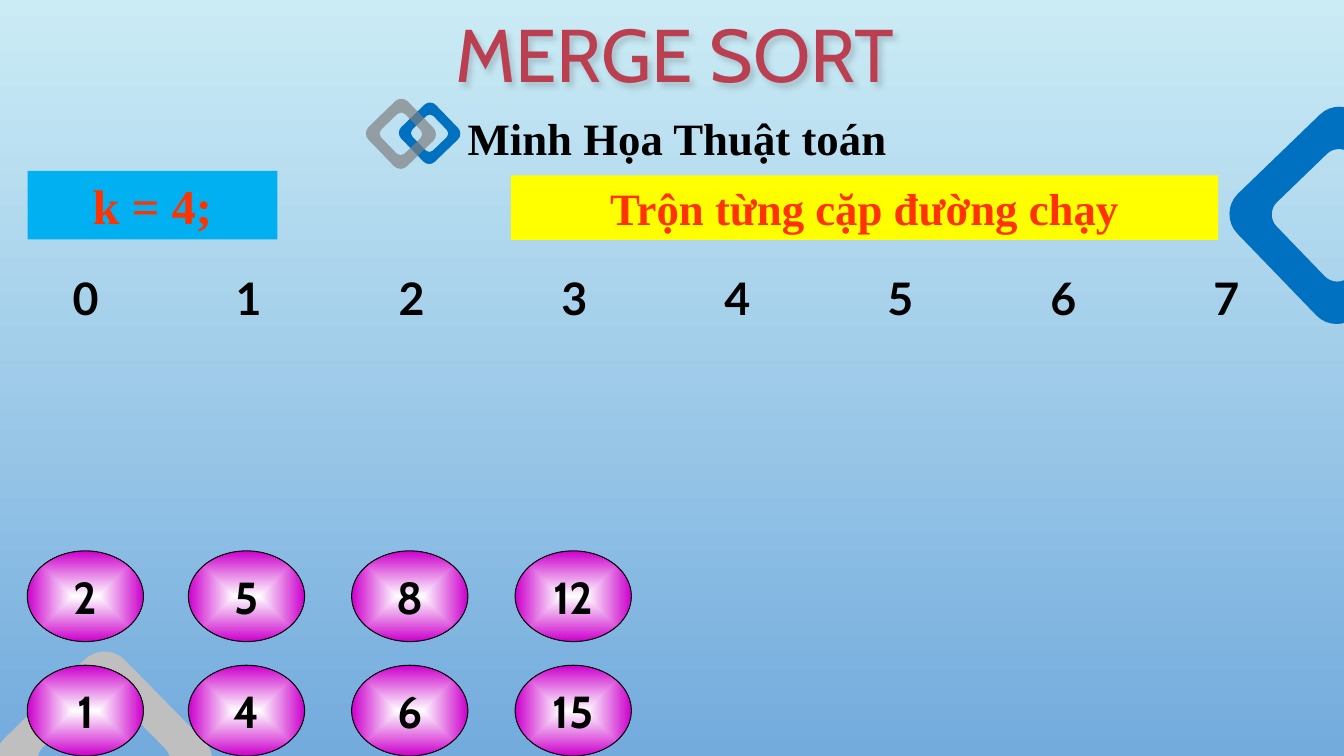
import lxml.etree
import pptx
import pptx.util
import pptx.dml.color
import pptx.enum.shapes
import pptx.enum.text
import pptx.oxml
import pptx.oxml.ns

Pt = pptx.util.Pt
qn = pptx.oxml.ns.qn
SHAPES = pptx.enum.shapes.MSO_SHAPE
COLORS = {name: pptx.dml.color.RGBColor.from_string(value) for name, value in {
    "sky": "CBECF5", "horizon": "73ABDD", "silver": "BFBFBF", "blue": "0070C0",
    "gray": "808080", "black": "000000", "white": "FFFFFF", "magenta": "CC00CC",
    "cyan": "00B0F0", "yellow": "FFFF00", "red": "FF3300", "rose": "BA3F51",
}.items()}
DRAWING = pptx.oxml.ns.nsdecls("a")


def write(shape, text, font, size, color, bold=True, align="CENTER"):
    frame = shape.text_frame
    frame.text = text
    frame.vertical_anchor = pptx.enum.text.MSO_ANCHOR.MIDDLE
    para = frame.paragraphs[0]
    para.alignment = pptx.enum.text.PP_ALIGN[align]
    span = para.runs[0]
    span.font.name = font
    span.font.size = Pt(size)
    span.font.bold = bold
    span.font.color.rgb = COLORS[color]
    return frame


def rounded_square(center_x, center_y, half_side):
    straight = half_side * 0.67
    handle = half_side * 0.85
    points = []
    for cosine, sine in ((1, 0), (0, 1), (-1, 0), (0, -1)):
        for along, across in ((half_side, straight), (half_side, handle),
                              (handle, half_side), (straight, half_side)):
            points.append((Pt(center_x + along * cosine - across * sine),
                           Pt(center_y + along * sine + across * cosine)))
    return points


deck = pptx.Presentation()
deck.slide_width, deck.slide_height = Pt(960), Pt(540)
page = deck.slides.add_slide(deck.slide_layouts[5])
backdrop = page.background.fill
backdrop.gradient()
backdrop.gradient_angle = 270
for stop, color in zip(backdrop.gradient_stops, ("sky", "horizon")):
    stop.color.rgb = COLORS[color]

for center_x, center_y, half_side, rotation, color in (
        (74.2, 543, 60.8, 315.5, "silver"), (955.8, 153.8, 60.8, 316, "blue"),
        (306.9, 95.2, 17.2, 316, "blue"), (286.4, 95.6, 19.6, 316, "gray")):
    outer = rounded_square(center_x, center_y, half_side)
    inner = rounded_square(center_x, center_y, half_side * 0.61)[::-1]
    builder = page.shapes.build_freeform(*outer[0])
    builder.add_line_segments(outer[1:])
    builder.move_to(*inner[0])
    builder.add_line_segments(inner[1:])
    ring = builder.convert_to_shape()
    ring.rotation = rotation
    ring.shadow.inherit = False
    ring.fill.solid()
    ring.fill.fore_color.rgb = COLORS[color]
    ring.line.fill.background()
    segments = list(ring.element.iter(qn("a:lnTo")))
    for contour in (segments[:15], segments[15:]):
        for start in range(0, 15, 4):
            curve = lxml.etree.Element(qn("a:cubicBezTo"))
            contour[start].addprevious(curve)
            for segment in contour[start:start + 3]:
                curve.append(segment[0])
                segment.getparent().remove(segment)
    if color == "gray":
        tint = ring.element.spPr.find(".//" + qn("a:srgbClr"))
        lxml.etree.SubElement(tint, qn("a:alpha"), val="69000")

subtitle = page.shapes.add_textbox(Pt(334), Pt(78.5), Pt(320.4), Pt(39.6))
frame = write(subtitle, "Minh Họa Thuật toán", "Times New Roman", 32, "black", align="LEFT")
frame.word_wrap = True
frame.margin_left = frame.margin_right = 0

for row, values in enumerate(((2, 5, 8, 12), (1, 4, 6, 15))):
    for left, value in zip((19.5, 134.6, 251.2, 368), values):
        ball = page.shapes.add_shape(
            SHAPES.OVAL, Pt(left), Pt(393.5 + 81.7 * row), Pt(83), Pt(64.8))
        ball.shadow.inherit = False
        ball.line.color.rgb = COLORS["black"]
        ball.line.width = Pt(0.75)
        ball.fill.gradient()
        for stop, color in zip(ball.fill.gradient_stops, ("white", "magenta")):
            stop.color.rgb = COLORS[color]
        gradient = ball.element.spPr.find(qn("a:gradFill"))
        gradient.remove(gradient.find(qn("a:lin")))
        gradient.append(pptx.oxml.parse_xml(
            f'<a:path {DRAWING} path="shape">'
            '<a:fillToRect l="50000" t="50000" r="50000" b="50000"/></a:path>'))
        write(ball, str(value), "Cabin", 32, "black").word_wrap = False

for index in range(8):
    label = page.shapes.add_shape(
        SHAPES.OVAL, Pt(19.7 + 116.4 * index), Pt(180), Pt(83), Pt(64.8))
    label.shadow.inherit = False
    label.fill.background()
    label.line.fill.background()
    write(label, str(index), "Lato", 32, "black")

for text, left, top, width, height, size, color in (
        ("k = 4;", 19.7, 122, 178.4, 49, 34.7, "cyan"),
        ("Trộn từng cặp đường chạy", 365, 125.3, 505.2, 46, 32, "yellow")):
    banner = page.shapes.add_shape(SHAPES.RECTANGLE, Pt(left), Pt(top), Pt(width), Pt(height))
    banner.shadow.inherit = False
    banner.fill.solid()
    banner.fill.fore_color.rgb = COLORS[color]
    banner.line.fill.background()
    write(banner, text, "Times New Roman", size, "red")

title = page.shapes.title
title.left, title.top, title.width, title.height = Pt(0), Pt(0), Pt(964), Pt(75.6)
frame = write(title, "MERGE SORT", "Cabin", 53.3, "rose", bold=False)
frame.auto_size = pptx.enum.text.MSO_AUTO_SIZE.NONE
title.fill.background()
title.element.spPr.append(pptx.oxml.parse_xml(
    f'<a:effectLst {DRAWING}><a:outerShdw blurRad="50800" dist="38100" dir="2700000">'
    '<a:srgbClr val="000000"><a:alpha val="15000"/></a:srgbClr></a:outerShdw></a:effectLst>'))

deck.save("out.pptx")
